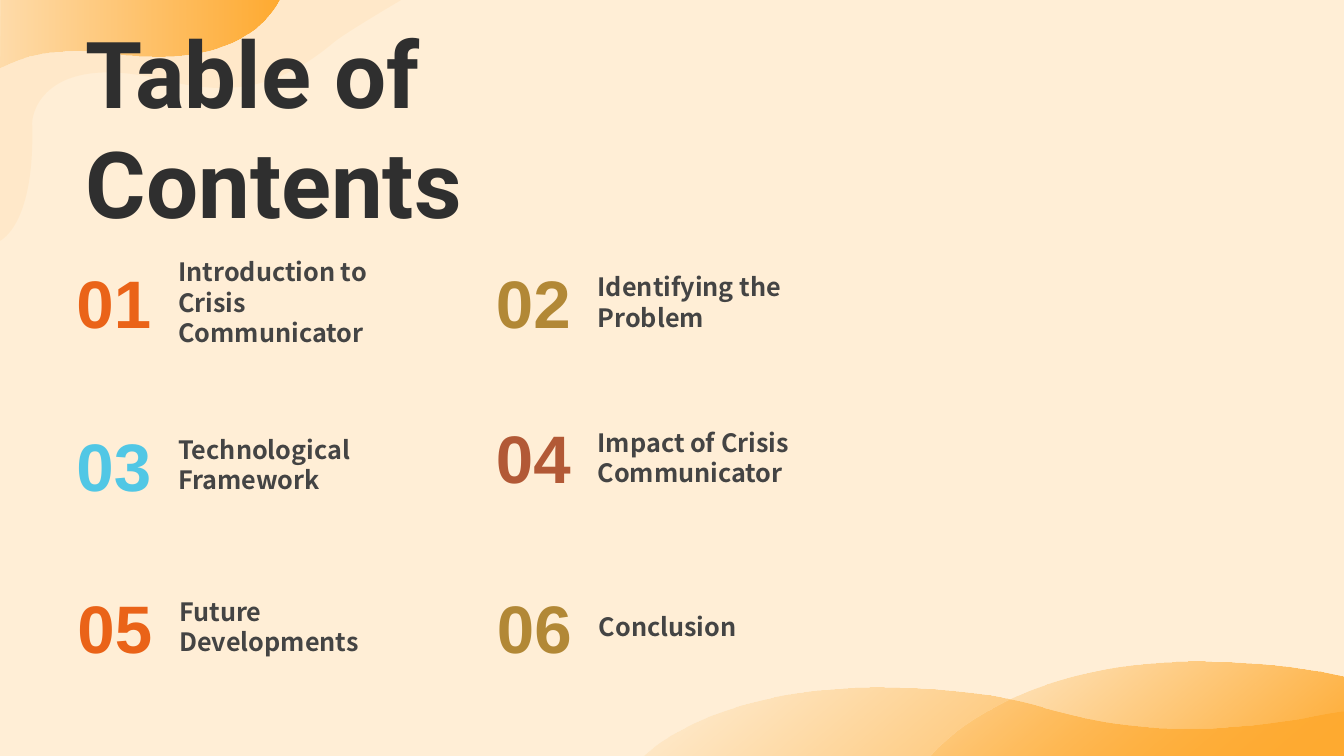
from lxml.etree import SubElement
from pptx import Presentation
from pptx.dml.color import RGBColor
from pptx.enum.text import MSO_ANCHOR, MSO_AUTO_SIZE, PP_ALIGN
from pptx.oxml.ns import qn
from pptx.util import Inches, Pt

COLORS = {
    "cream": "FFEED6", "amber": "FFAB31", "title": "2F2F2F", "entry": "444444",
    "orange": "EA6318", "ochre": "B28836", "sky": "51C7E5", "rust": "B25936",
}


def write(box, text, place, size, font, color, align=PP_ALIGN.LEFT, fit=MSO_AUTO_SIZE.NONE):
    box.left, box.top, box.width, box.height = (Inches(n) for n in place)
    frame = box.text_frame
    frame_format = {
        "word_wrap": True,
        "auto_size": fit,
        "vertical_anchor": MSO_ANCHOR.MIDDLE,
    }
    for name, value in frame_format.items():
        setattr(frame, name, value)
    para = frame.paragraphs[0]
    para.alignment = align
    span = para.add_run()
    span.text = text
    for name, value in {"size": Pt(size), "name": font, "bold": True}.items():
        setattr(span.font, name, value)
    span.font.color.rgb = RGBColor.from_string(COLORS[color])


def bend(wave, segments):
    lines = list(wave.element.iter(qn("a:lnTo")))
    for segment in segments:
        count = len(segment) // 2
        group, lines = lines[:count], lines[count:]
        if count == 3:
            curve = group[0].makeelement(qn("a:cubicBezTo"), {})
            group[0].addprevious(curve)
            for line in group:
                curve.append(line[0])
                line.getparent().remove(line)


deck = Presentation()
deck.slide_width, deck.slide_height = Inches(13.33), Inches(7.5)
page = deck.slides.add_slide(deck.slide_layouts[5])
page.background.fill.solid()
page.background.fill.fore_color.rgb = RGBColor.from_string(COLORS["cream"])

waves = [
    (50, (0, 100), (8.77, 6.82), [
        (9.17, 6.82, 9.76, 6.86, 10.15, 6.96), (10.55, 7.06, 11.47, 7.42, 13.16, 7.08),
        (13.33, 7.05), (13.33, 7.5), (6.37, 7.5), (6.47, 7.4, 7.16, 6.81, 8.77, 6.82)]),
    (50, (0, 100), (11.95, 6.56), [
        (12.29, 6.56, 12.67, 6.59, 13.09, 6.66), (13.33, 6.71), (13.33, 7.5),
        (9.22, 7.5), (9.23, 7.5), (9.34, 7.37, 10.12, 6.54, 11.95, 6.56)]),
    (None, (8,), (-0.02, 2.4), [
        (-0.02, 2.4, 0.35, 2.28, 0.32, 1.22), (0.32, 1.09, 0.47, 0.57, 1.47, 0.76),
        (2.03, 0.89, 2.58, 1.03, 3.3, 0.43), (3.4, 0.34, 3.98, 0, 3.98, 0), (0.01, 0)]),
    (0, (20, 100), (-0.01, 0), [
        (2.77, 0), (2.73, 0.07), (2.45, 0.49, 1.85, 0.63, 1.1, 0.53),
        (0.54, 0.45, 0.19, 0.57, 0.02, 0.66), (-0.01, 0.67)]),
]
for angle, opacities, start, segments in waves:
    corners = [(Inches(segment[i]), Inches(segment[i + 1]))
               for segment in segments for i in range(0, len(segment), 2)]
    outline = page.shapes.build_freeform(Inches(start[0]), Inches(start[1]))
    outline.add_line_segments(corners, close=True)
    wave = outline.convert_to_shape()
    bend(wave, segments)
    wave.shadow.inherit = False
    wave.line.fill.background()
    if angle is None:
        wave.fill.solid()
        colors = [wave.fill.fore_color]
    else:
        wave.fill.gradient()
        wave.fill.gradient_angle = 360 - angle
        colors = [stop.color for stop in wave.fill.gradient_stops]
    for color in colors:
        color.rgb = RGBColor.from_string(COLORS["amber"])
    for node, opacity in zip(list(wave.element.spPr.iter(qn("a:srgbClr"))), opacities):
        if opacity < 100:
            SubElement(node, qn("a:alpha"), val=str(opacity * 1000))

title = page.shapes.title
title.element.getparent().append(title.element)
write(title, "Table of Contents", (0.75, 0.42, 5.33, 1.67), 66, "Roboto", "title")

entries = [
    ("Introduction to Crisis Communicator", "orange", 0.6, 2.54),
    ("Identifying the Problem", "ochre", 4.76, 2.54),
    ("Technological Framework", "sky", 0.6, 4.15),
    ("Impact of Crisis Communicator", "rust", 4.76, 4.08),
    ("Future Developments", "orange", 0.61, 5.76),
    ("Conclusion", "ochre", 4.77, 5.76),
]
for number, (text, color, left, top) in enumerate(entries, start=1):
    label = page.shapes.add_textbox(0, 0, 0, 0)
    write(label, f"{number:02}", (left, top, 1.06, 0.91), 48, "Arial", color,
          PP_ALIGN.CENTER, MSO_AUTO_SIZE.SHAPE_TO_FIT_TEXT)
    entry = page.shapes.add_textbox(0, 0, 0, 0)
    width = 2.66 if number % 2 == 0 else 2.48
    write(entry, text, (left + 1.07, top, width, 0.91), 18, "Noto Sans CJK SC", "entry")

deck.save("out.pptx")
